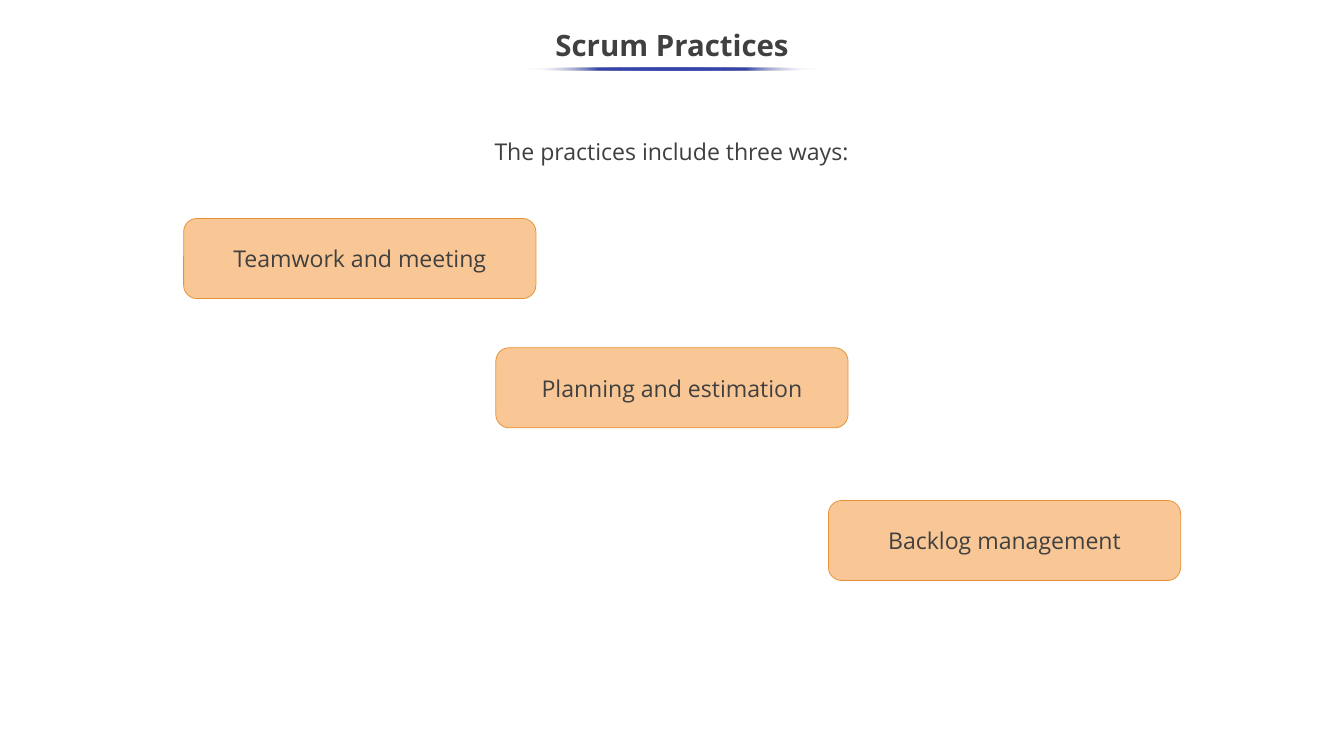
from lxml import etree
from pptx import Presentation
from pptx.dml.color import RGBColor
from pptx.enum.shapes import MSO_SHAPE
from pptx.enum.text import MSO_ANCHOR, PP_ALIGN
from pptx.oxml.ns import qn
from pptx.util import Inches, Pt

ROUNDED = MSO_SHAPE.ROUNDED_RECTANGLE
ELLIPSE = MSO_SHAPE.OVAL
CENTER = PP_ALIGN.CENTER
MIDDLE = MSO_ANCHOR.MIDDLE

WHITE = RGBColor(0xFF, 0xFF, 0xFF)
DARK = RGBColor(0x40, 0x40, 0x40)
INTRO_GRAY = RGBColor(0x3F, 0x3F, 0x3F)
BLUE = RGBColor(0x36, 0x45, 0xA9)
PEACH = RGBColor(0xF9, 0xC7, 0x95)
ORANGE = RGBColor(0xE6, 0x91, 0x38)
FONT = "Open Sans"

# Content
TITLE = "Scrum Practices"
INTRO = "The practices include three ways:"
PRACTICES = [  # text, left, top
    ("Teamwork and meeting", 2.43, 2.89),
    ("Planning and estimation", 6.56, 4.6),
    ("Backlog management", 10.96, 6.62),
]
CARD_WIDTH, CARD_HEIGHT = 4.66, 1.06
# Underline stops: position in percent, colour, opacity in percent
UNDERLINE_STOPS = [(0, WHITE, 0), (25, BLUE, 100), (50, BLUE, 100),
                   (75, BLUE, 100), (100, WHITE, 0)]


def write_text(shape, text, size=22, color=DARK, bold=False,
               line_spacing=None, vertical_inset=0.05):
    frame = shape.text_frame
    frame.word_wrap = True
    frame.vertical_anchor = MIDDLE
    frame.margin_left = frame.margin_right = Inches(0.1)
    frame.margin_top = frame.margin_bottom = Inches(vertical_inset)
    paragraph = frame.paragraphs[0]
    paragraph.alignment = CENTER
    paragraph.line_spacing = line_spacing
    run = paragraph.add_run()
    run.text = text
    run.font.name = FONT
    run.font.size = Pt(size)
    run.font.bold = bold
    run.font.color.rgb = color


def add_box(slide, kind, left, top, width, height, fill=None, line=None):
    shape = slide.shapes.add_shape(
        kind, Inches(left), Inches(top), Inches(width), Inches(height))
    shape.shadow.inherit = False
    if fill is not None:
        shape.fill.solid()
        shape.fill.fore_color.rgb = fill
    if line is None:
        shape.line.fill.background()
    else:
        shape.line.color.rgb = line
        shape.line.width = Pt(0.75)
    return shape


def set_gradient(shape, stops, angle):
    shape.fill.gradient()
    shape.fill.gradient_angle = angle
    stop_list = shape.fill.gradient_stops[0]._gs.getparent()
    for old_stop in list(stop_list):
        stop_list.remove(old_stop)
    for position, color, opacity in stops:
        stop = etree.SubElement(stop_list, qn("a:gs"), pos=str(position * 1000))
        rgb = etree.SubElement(stop, qn("a:srgbClr"), val=str(color))
        if opacity < 100:
            etree.SubElement(rgb, qn("a:alpha"), val=str(opacity * 1000))


def main():
    presentation = Presentation()
    presentation.slide_width = Inches(17.78)
    presentation.slide_height = Inches(10)
    slide = presentation.slides.add_slide(presentation.slide_layouts[6])
    slide.background.fill.solid()
    slide.background.fill.fore_color.rgb = WHITE

    # Title and its fading underline
    title = slide.shapes.add_textbox(
        Inches(-0.01), Inches(0.25), Inches(17.8), Inches(0.75))
    write_text(title, TITLE, size=28, bold=True, line_spacing=0.9)
    underline = add_box(slide, ELLIPSE, 6.96, 0.89, 3.87, 0.04)
    set_gradient(underline, UNDERLINE_STOPS, 180)

    # Introduction
    intro = add_box(slide, ROUNDED, 5.78, 1.47, 6.21, 1.06, fill=WHITE)
    write_text(intro, INTRO, color=INTRO_GRAY)

    # Practice cards
    for text, left, top in PRACTICES:
        card = add_box(slide, ROUNDED, left, top, CARD_WIDTH, CARD_HEIGHT,
                       fill=PEACH, line=ORANGE)
        write_text(card, text, vertical_inset=0.1)

    presentation.save("out.pptx")


if __name__ == "__main__":
    main()
